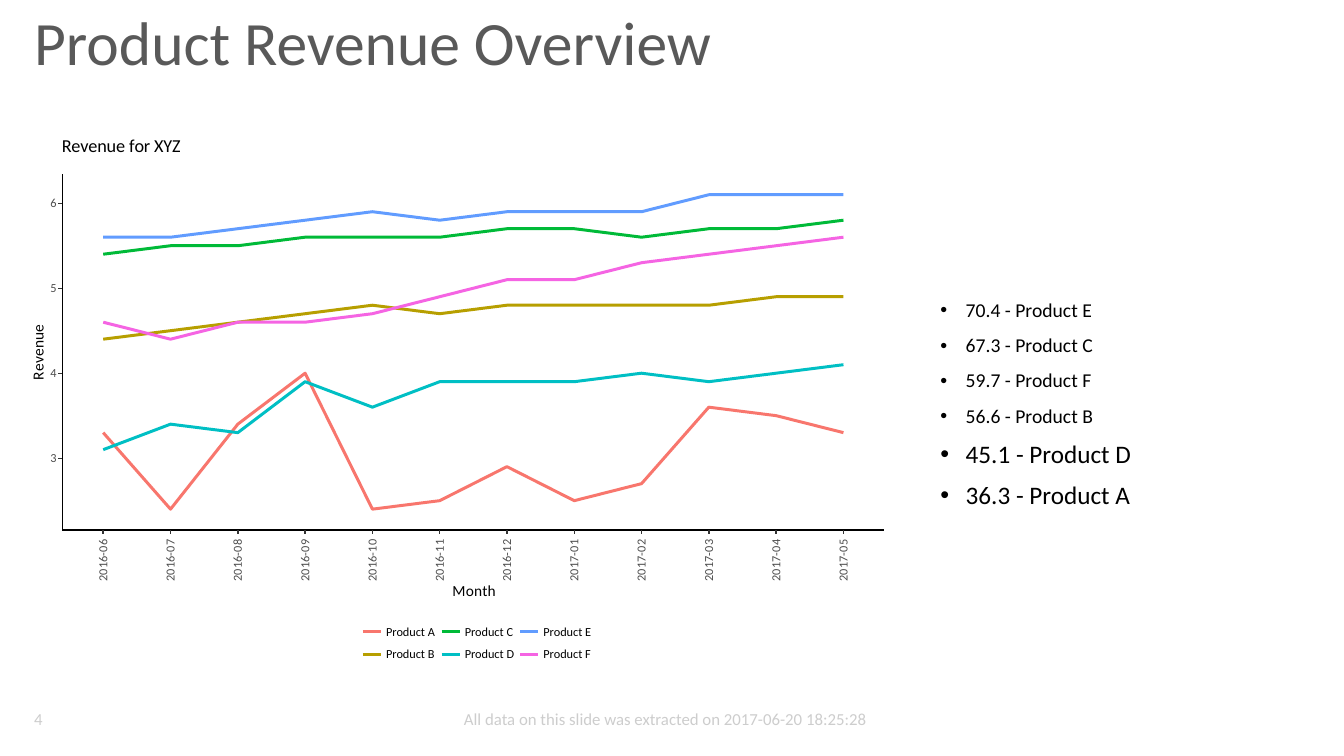
from dataclasses import dataclass

from lxml.etree import SubElement
from pptx import Presentation
from pptx.chart.data import CategoryChartData
from pptx.dml.color import RGBColor
from pptx.enum.chart import XL_CHART_TYPE as ChartType, XL_TICK_MARK as Tick
from pptx.enum.shapes import MSO_CONNECTOR as Connector
from pptx.enum.text import MSO_ANCHOR as Anchor, PP_ALIGN as Align
from pptx.oxml.ns import qn
from pptx.oxml.xmlchemy import OxmlElement
from pptx.util import Inches, Pt

FONT = "Calibri"
COLORS = {"title": "595959", "text": "000000", "tick": "333333", "label": "4D4D4D", "footer": "CDCDCD"}


@dataclass
class Box:
    left: float
    top: float
    width: float
    height: float

    def lengths(self):
        return [Inches(v) for v in (self.left, self.top, self.width, self.height)]


@dataclass
class Product:
    name: str
    color: str
    revenue: list


@dataclass
class Bullet:
    text: str
    size: int


PRODUCTS = [
    Product("Product A", "F8766D", [3.3, 2.4, 3.4, 4.0, 2.4, 2.5, 2.9, 2.5, 2.7, 3.6, 3.5, 3.3]),
    Product("Product B", "B79F00", [4.4, 4.5, 4.6, 4.7, 4.8, 4.7, 4.8, 4.8, 4.8, 4.8, 4.9, 4.9]),
    Product("Product C", "00BA38", [5.4, 5.5, 5.5, 5.6, 5.6, 5.6, 5.7, 5.7, 5.6, 5.7, 5.7, 5.8]),
    Product("Product D", "00BFC4", [3.1, 3.4, 3.3, 3.9, 3.6, 3.9, 3.9, 3.9, 4.0, 3.9, 4.0, 4.1]),
    Product("Product E", "619CFF", [5.6, 5.6, 5.7, 5.8, 5.9, 5.8, 5.9, 5.9, 5.9, 6.1, 6.1, 6.1]),
    Product("Product F", "F564E3", [4.6, 4.4, 4.6, 4.6, 4.7, 4.9, 5.1, 5.1, 5.3, 5.4, 5.5, 5.6]),
]
BULLETS = [
    Bullet("70.4 - Product E", 14),
    Bullet("67.3 - Product C", 14),
    Bullet("59.7 - Product F", 14),
    Bullet("56.6 - Product B", 14),
    Bullet("45.1 - Product D", 18),
    Bullet("36.3 - Product A", 18),
]
MONTHS = [f"2016-{m:02}" for m in range(6, 13)] + [f"2017-{m:02}" for m in range(1, 6)]
CHART = Box(0.24, 1.29, 8.61, 5.46)
PLOT = Box(0.69, 1.73, 8.01, 3.66)
AXES = Box(0.62, 1.73, 8.15, 3.53)
LOW, HIGH, CROSSING = 2, 6.34, 2.16


def set_font(font, size: float, color: str) -> None:
    font.name, font.size, font.bold = FONT, Pt(size), False
    font.color.rgb = RGBColor.from_string(color)


def set_line(line, color: str, width: float) -> None:
    line.color.rgb = RGBColor.from_string(color)
    line.width = Pt(width)


def add_text(s, box: Box, text: str, size: float, color: str, align=Align.LEFT, inset=True):
    tf = s.shapes.add_textbox(*box.lengths()).text_frame
    tf.word_wrap = inset
    tf.vertical_anchor = Anchor.MIDDLE
    if not inset:
        tf.margin_left = tf.margin_right = tf.margin_top = tf.margin_bottom = 0
    p = tf.paragraphs[0]
    p.text, p.alignment = text, align
    set_font(p.font, size, color)
    return p


def add_line(s, x1: float, y1: float, x2: float, y2: float, color: str, width: float) -> None:
    line = s.shapes.add_connector(Connector.STRAIGHT, *[Inches(v) for v in (x1, y1, x2, y2)])
    set_line(line.line, color, width)
    SubElement(line._element.spPr, qn("a:effectLst"))


def place(parent, index: int, values: dict) -> None:
    layout = parent.find(qn("c:layout"))
    if layout is None:
        layout = OxmlElement("c:layout")
        parent.insert(index, layout)
    manual = SubElement(layout, qn("c:manualLayout"))
    for tag, value in values.items():
        SubElement(manual, qn(f"c:{tag}")).set("val", str(value))


def position(left: float, top: float) -> dict:
    return {
        "xMode": "edge",
        "yMode": "edge",
        "x": (left - CHART.left) / CHART.width,
        "y": (top - CHART.top) / CHART.height,
    }


def set_title(title, text: str, size: float, left: float, top: float) -> None:
    p = title.text_frame.paragraphs[0]
    p.text = text
    set_font(p.font, size, COLORS["text"])
    place(title._element, 1, position(left, top))


def style_axis(axis) -> None:
    axis.has_major_gridlines = False
    axis.major_tick_mark, axis.minor_tick_mark = Tick.OUTSIDE, Tick.NONE
    axis.format.line.fill.background()
    set_font(axis.tick_labels.font, 8.8, COLORS["label"])


def add_revenue_chart(s) -> None:
    data = CategoryChartData(number_format="0.0")
    data.categories = MONTHS
    for product in PRODUCTS:
        data.add_series(product.name, product.revenue)
    chart = s.shapes.add_chart(ChartType.LINE, *CHART.lengths(), data).chart
    set_font(chart.font, 8.8, COLORS["label"])
    chart.has_legend = False
    chart.has_title = True
    set_title(chart.chart_title, "Revenue for XYZ", 13, 0.58, 1.24)
    plot = chart.plots[0]
    plot.vary_by_categories = False
    for series, product in zip(plot.series, PRODUCTS):
        series.smooth = False
        set_line(series.format.line, product.color, 2.13)

    months, revenue = chart.category_axis, chart.value_axis
    style_axis(months)
    style_axis(revenue)
    months._element.txPr.bodyPr.set("rot", "-5400000")
    revenue.minimum_scale, revenue.maximum_scale, revenue.major_unit = LOW, HIGH, 1
    revenue.crosses_at = CROSSING
    revenue.tick_labels.number_format = '[<2.5]"";0" "'
    revenue.tick_labels.number_format_is_linked = False
    set_title(months.axis_title, "Month", 11, 4.46, 5.73)
    set_title(revenue.axis_title, "Revenue", 11, 0.21, 3.19)
    body = revenue.axis_title.text_frame._txBody.bodyPr
    body.set("rot", "-5400000")
    body.set("vert", "horz")

    area = {"layoutTarget": "inner"} | position(PLOT.left, PLOT.top)
    area |= {"w": PLOT.width / CHART.width, "h": PLOT.height / CHART.height}
    place(chart._chartSpace.chart.plotArea, 0, area)


def add_axis_lines(s) -> None:
    left, bottom = AXES.left, AXES.top + AXES.height
    add_line(s, left, AXES.top, left, bottom, COLORS["text"], 1.07)
    add_line(s, left, bottom, left + AXES.width, bottom, COLORS["text"], 1.07)
    step = PLOT.width / len(MONTHS)
    for i in range(len(MONTHS)):
        x = PLOT.left + (i + 0.5) * step
        add_line(s, x, bottom, x, bottom + 0.04, COLORS["tick"], 1.07)
    for value in range(3, 7):
        y = PLOT.top + PLOT.height * (HIGH - value) / (HIGH - LOW)
        add_line(s, left - 0.04, y, left, y, COLORS["tick"], 1.07)


def add_legend(s) -> None:
    for i, product in enumerate(PRODUCTS):
        column, row = divmod(i, 2)
        x, y = 3.6 + 0.78 * column, 6.27 + 0.22 * row
        add_line(s, x, y, x + 0.18, y, product.color, 2.13)
        add_text(s, Box(x + 0.23, y - 0.05, 0.5, 0.09), product.name, 8.8, COLORS["text"], inset=False)


def add_bullets(s) -> None:
    tf = s.shapes.add_textbox(*Box(9.23, 1.29, 3.73, 5.46).lengths()).text_frame
    tf.word_wrap = True
    tf.vertical_anchor = Anchor.MIDDLE
    for i, bullet in enumerate(BULLETS):
        p = tf.add_paragraph() if i else tf.paragraphs[0]
        p.text, p.line_spacing, p.space_before = bullet.text, 0.9, Pt(10)
        set_font(p.font, bullet.size, COLORS["text"])
        pPr = p._p.get_or_add_pPr()
        pPr.set("marL", str(Inches(0.25)))
        pPr.set("indent", str(-Inches(0.25)))
        for tag, key, value in (("a:buFont", "typeface", "Arial"), ("a:buChar", "char", "•")):
            mark = OxmlElement(tag)
            mark.set(key, value)
            pPr.find(qn("a:defRPr")).addprevious(mark)


prs = Presentation()
prs.slide_width, prs.slide_height = Inches(13.33), Inches(7.5)
s = prs.slides.add_slide(prs.slide_layouts[6])
title = add_text(s, Box(0.24, 0, 12.72, 0.91), "Product Revenue Overview", 44, COLORS["title"])
title.line_spacing = 0.9
add_revenue_chart(s)
add_axis_lines(s)
add_legend(s)
add_bullets(s)
extracted = "All data on this slide was extracted on 2017-06-20 18:25:28"
add_text(s, Box(4.35, 6.93, 4.5, 0.4), extracted, 12, COLORS["footer"], Align.CENTER)
add_text(s, Box(0.24, 6.93, 3, 0.4), "4", 12, COLORS["footer"])
prs.save("out.pptx")
